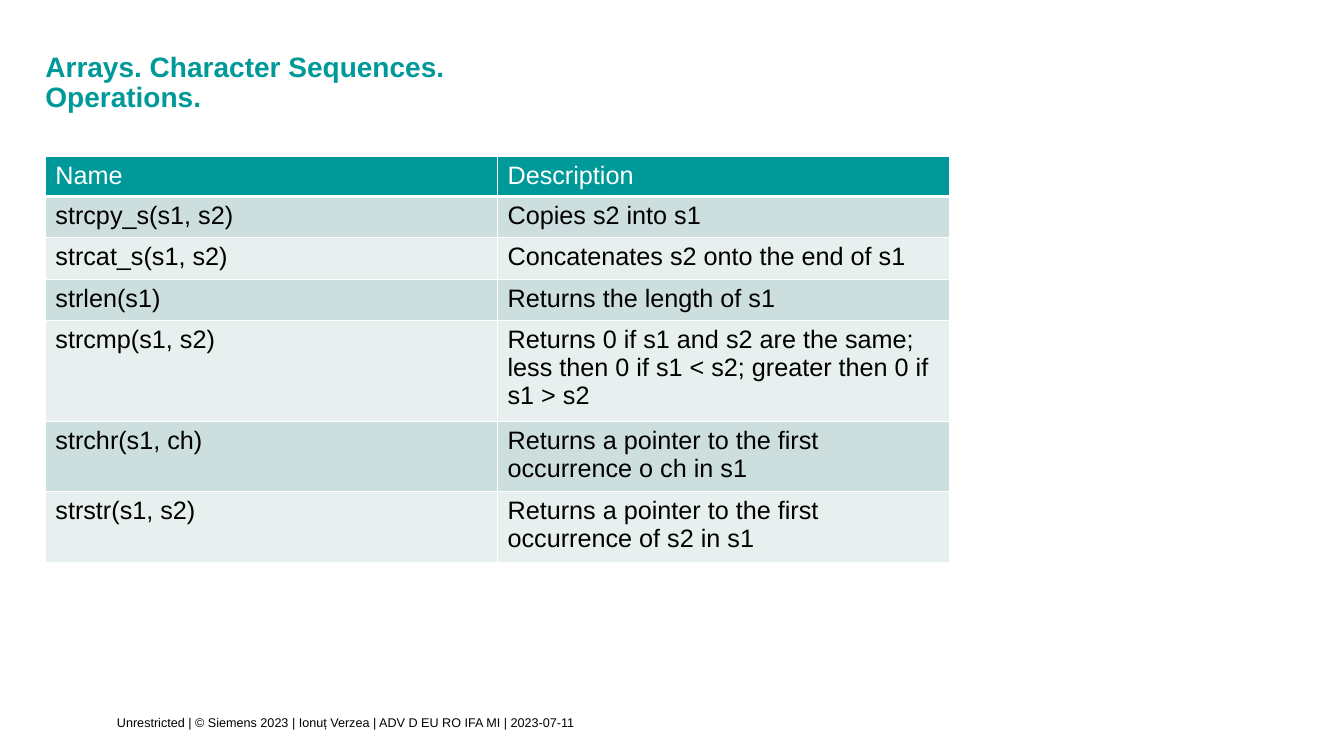
from lxml.etree import SubElement
from pptx import Presentation
from pptx.dml.color import RGBColor
from pptx.enum.text import MSO_ANCHOR, MSO_AUTO_SIZE, PP_ALIGN
from pptx.oxml.ns import qn
from pptx.util import Inches, Pt

TEAL, WHITE, BLACK = "009999", "FFFFFF", "000000"
BANDS = ["E7EFEF", "CCDEDE"]


def write(frame, text, size=18, color=BLACK, bold=False, anchor=MSO_ANCHOR.TOP,
          inset=(0.1, 0.05, 0.1, 0.05), spacing=None):
    frame.word_wrap = True
    frame.vertical_anchor = anchor
    (frame.margin_left, frame.margin_top,
     frame.margin_right, frame.margin_bottom) = map(Inches, inset)
    para = frame.paragraphs[0]
    para.text = text
    para.alignment = PP_ALIGN.LEFT
    para.line_spacing = spacing
    for run in para.runs:
        run.font.name = "Arial"
        run.font.size = Pt(size)
        run.font.bold = bold
        run.font.color.rgb = RGBColor.from_string(color)
    for br in para._p.findall(qn("a:br")):
        SubElement(br, qn("a:rPr"), sz=str(size * 100))


def border(cell, side, width):
    line = SubElement(cell._tc.get_or_add_tcPr(), qn(f"a:ln{side}"), w=str(Pt(width)))
    SubElement(SubElement(line, qn("a:solidFill")), qn("a:srgbClr"), val=WHITE)


prs = Presentation()
prs.slide_width, prs.slide_height = Inches(13.33), Inches(7.5)
slide = prs.slides.add_slide(prs.slide_layouts[5])

title = slide.shapes.title
title.left, title.top = Inches(0.45), Inches(0.52)
title.width, title.height = Inches(10.79), Inches(0.63)
write(title.text_frame, "Arrays. Character Sequences. \vOperations.", size=20,
      color=TEAL, bold=True, anchor=MSO_ANCHOR.BOTTOM,
      inset=(0, 0, 0.35, 0.02), spacing=0.9)
title.text_frame.auto_size = MSO_AUTO_SIZE.NONE

rows = [
    ("Name", "Description", 0.4),
    ("strcpy_s(s1, s2)", "Copies s2 into s1", 0.41),
    ("strcat_s(s1, s2)", "Concatenates s2 onto the end of s1", 0.41),
    ("strlen(s1)", "Returns the length of s1", 0.41),
    ("strcmp(s1, s2)", "Returns 0 if s1 and s2 are the same; less then 0 if s1 < s2; "
     "greater then 0 if s1 > s2", 1),
    ("strchr(s1, ch)", "Returns a pointer to the first occurrence o ch in s1", 0.7),
    ("strstr(s1, s2)", "Returns a pointer to the first occurrence of s2 in s1", 0.7),
]
table = slide.shapes.add_table(len(rows), 2, Inches(0.45), Inches(1.55),
                               Inches(8.97), Inches(4.02)).table
for col in table.columns:
    col.width = Inches(4.485)
for r, (*texts, height) in enumerate(rows):
    table.rows[r].height = Inches(height)
    for c, text in enumerate(texts):
        cell = table.cell(r, c)
        write(cell.text_frame, text, color=BLACK if r else WHITE)
        for side in "LRTB":
            border(cell, side, 3 if r == 0 and side == "B" else 1)
        cell.fill.solid()
        cell.fill.fore_color.rgb = RGBColor.from_string(BANDS[r % 2] if r else TEAL)

footer = slide.shapes.add_textbox(Inches(1.16), Inches(6.9), Inches(10.08), Inches(0.6))
write(footer.text_frame,
      "Unrestricted | © Siemens 2023 | Ionuț Verzea | ADV D EU RO IFA MI | 2023-07-11",
      size=9, anchor=MSO_ANCHOR.MIDDLE, inset=(0, 0, 0, 0.07))

prs.save("out.pptx")
